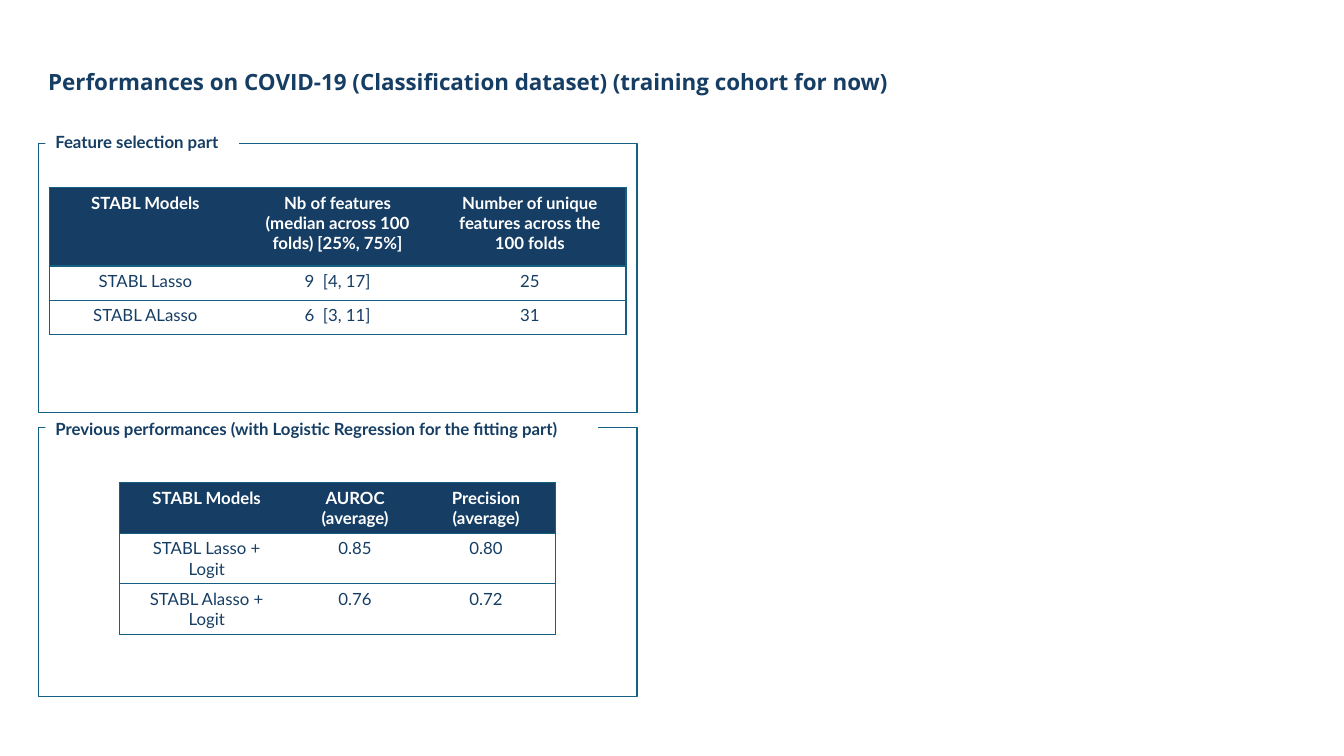
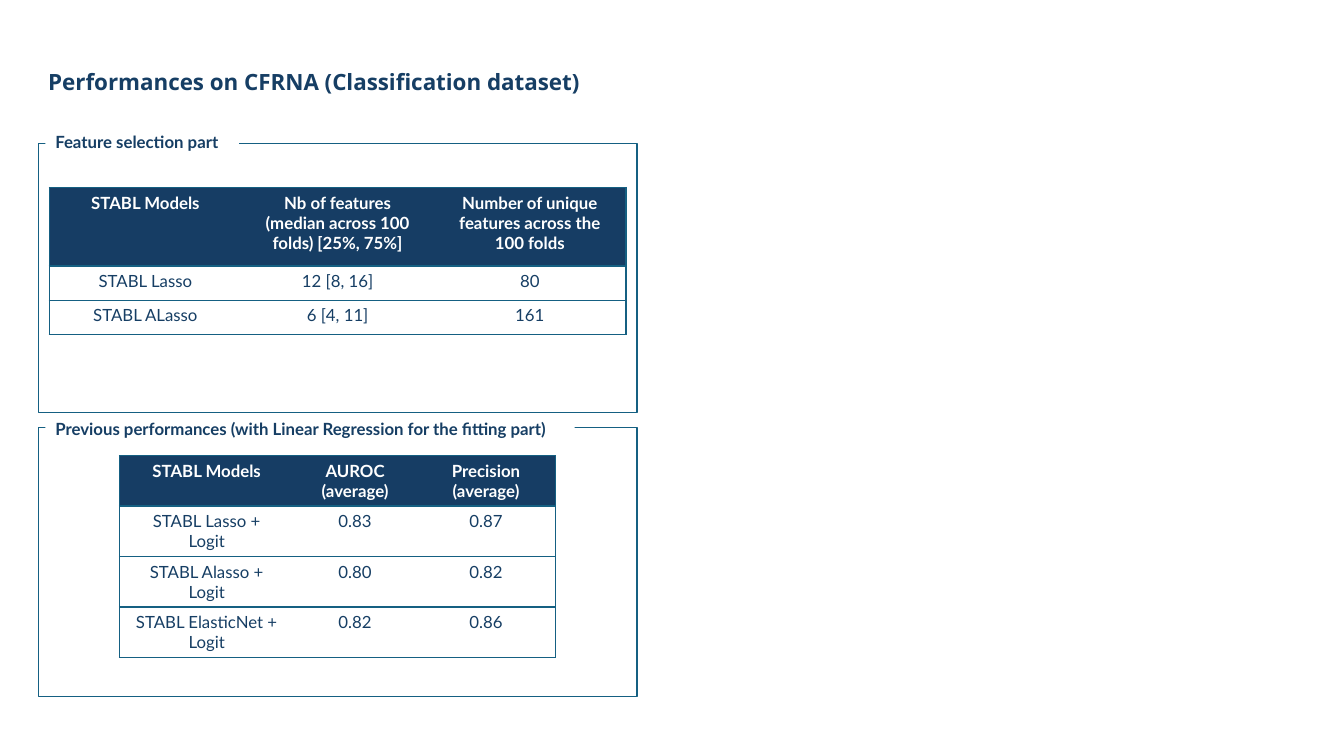
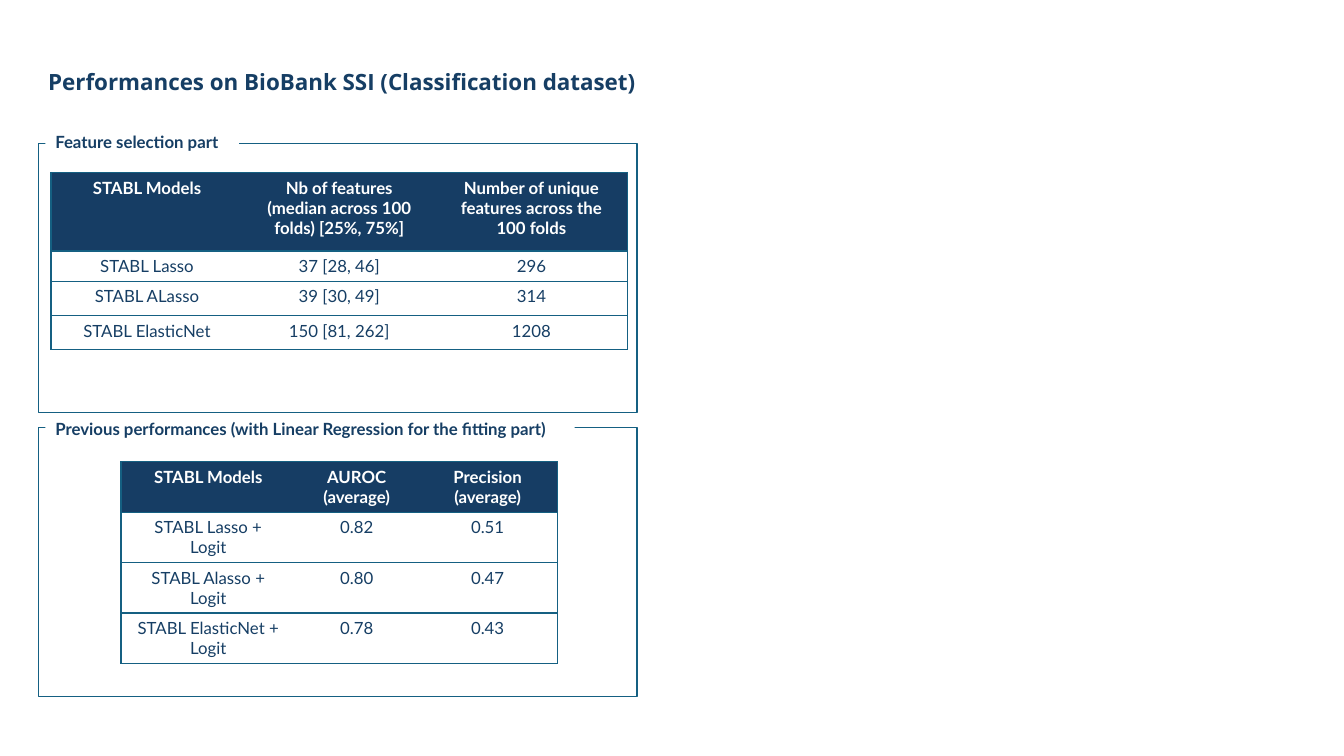
from lxml import etree
from pptx import Presentation
from pptx.dml.color import RGBColor
from pptx.enum import shapes, text
from pptx.oxml import ns
from pptx.util import Emu, Inches, Pt

# Shared look
INK, HEADER, BORDER, WHITE = "163E64", "163D64", "156082", "FFFFFF"
TITLE_FONT, BODY_FONT = "Open Sans", "Lato"
SLIDE_WIDTH, SLIDE_HEIGHT = Inches(13.33), Inches(7.5)

# Shared layout, in percent of the slide's width or height
PANEL_LEFT, PANEL_WIDTH, PANEL_HEIGHT = 2.85, 44.55, 35.65
CAPTION_LEFT, CAPTION_HEIGHT = 3.38, 4
FEATURE_PANEL = {"top": 18.93, "caption_top": 16.8}
SCORE_PANEL = {"top": 56.53, "caption_top": 54.8}
FEATURE_TABLE = {"width": 42.91, "shares": (1 / 3, 1 / 3, 1 / 3)}
SCORE_TABLE = {"width": 32.48, "shares": (0.4, 0.28, 0.32)}
HEADER_ROW, TWO_LINE_ROW, ONE_LINE_ROW, TIGHT_ROW = 10.4, 6.67, 4.53, 4

# Wording shared by the slides
FEATURE_CAPTION = "Feature selection part"
SCORE_CAPTION = "Previous performances (with {} Regression for the fitting part)"
FEATURE_HEADER = ("STABL Models",
                  "Nb of features\n(median across 100 folds) [25%, 75%]",
                  "Number of unique features across the 100 folds")
SCORE_HEADER = ("STABL Models", "AUROC\n(average)", "Precision\n(average)")
FEATURE_MODELS = ("STABL Lasso", "STABL ALasso", "STABL ElasticNet")
SCORE_MODELS = ("STABL Lasso +\nLogit", "STABL Alasso +\nLogit",
                "STABL ElasticNet + Logit")

# What differs from slide to slide
DATASETS = [
    {"title": "Performances on COVID-19 (Classification dataset) "
              "(training cohort for now)",
     "features": [("9  [4, 17]", "25"), ("6  [3, 11]", "31")],
     "feature_rows": (ONE_LINE_ROW, ONE_LINE_ROW), "feature_top": 24.8,
     "regression": "Logistic", "caption_width": 41.11,
     "scores": [("0.85", "0.80"), ("0.76", "0.72")],
     "score_top": 63.87, "nudge": 0},
    {"title": "Performances on CFRNA (Classification dataset)",
     "features": [("12 [8, 16]", "80"), ("6 [4, 11]", "161")],
     "feature_rows": (ONE_LINE_ROW, ONE_LINE_ROW), "feature_top": 24.8,
     "regression": "Linear", "caption_width": 39.38,
     "scores": [("0.83", "0.87"), ("0.80", "0.82"), ("0.82", "0.86")],
     "score_top": 60.27, "nudge": 0},
    {"title": "Performances on BioBank SSI (Classification dataset)",
     "features": [("37 [28, 46]", "296"), ("39 [30, 49]", "314"),
                  ("150 [81, 262]", "1208")],
     "feature_rows": (TIGHT_ROW, ONE_LINE_ROW, ONE_LINE_ROW),
     "feature_top": 22.8,
     "regression": "Linear", "caption_width": 39.38,
     "scores": [("0.82", "0.51"), ("0.80", "0.47"), ("0.78", "0.43")],
     "score_top": 61.07, "nudge": 0.12},
]


def across(percent):
    return Emu(round(SLIDE_WIDTH * percent / 100))


def down(percent):
    return Emu(round(SLIDE_HEIGHT * percent / 100))


def box(left, top, width, height):
    return across(left), down(top), across(width), down(height)


def color(value):
    return RGBColor.from_string(value)


def write(frame, content, font, size, ink, bold, align=text.PP_ALIGN.LEFT):
    """Fill a text frame, one paragraph per line of content."""
    frame.word_wrap = True
    for index, line in enumerate(content.split("\n")):
        paragraph = frame.add_paragraph() if index else frame.paragraphs[0]
        paragraph.alignment = align
        run = paragraph.add_run()
        run.text = line
        run.font.name, run.font.size, run.font.bold = font, Pt(size), bold
        run.font.color.rgb = color(ink)


def add_title(slide, content):
    frame = slide.shapes.add_textbox(*box(2.85, 7.73, 86.27, 6.53)).text_frame
    write(frame, content, TITLE_FONT, 16, INK, True)
    frame.vertical_anchor = text.MSO_ANCHOR.MIDDLE
    frame.paragraphs[0].line_spacing = 0.9


def add_rectangle(slide, *place):
    shape = slide.shapes.add_shape(shapes.MSO_SHAPE.RECTANGLE, *box(*place))
    shape.shadow.inherit = False
    return shape


def add_panel(slide, top, caption_top, caption, caption_width):
    """Outlined frame whose caption interrupts the top edge."""
    outline = add_rectangle(slide, PANEL_LEFT, top, PANEL_WIDTH, PANEL_HEIGHT)
    outline.fill.background()
    outline.line.color.rgb = color(BORDER)
    outline.line.width = Pt(0.75)

    label = add_rectangle(slide, CAPTION_LEFT, caption_top, caption_width,
                          CAPTION_HEIGHT)
    label.fill.solid()
    label.fill.fore_color.rgb = color(WHITE)
    label.line.fill.background()
    write(label.text_frame, caption, BODY_FONT, 12, INK, True)
    label.text_frame.vertical_anchor = text.MSO_ANCHOR.TOP
    label.text_frame.auto_size = text.MSO_AUTO_SIZE.SHAPE_TO_FIT_TEXT


def set_borders(cell, first, last):
    """Rule above and below; side rules only at the table's outer edges."""
    properties = cell._tc.get_or_add_tcPr()
    for side, drawn in (("L", first), ("R", last), ("T", True), ("B", True)):
        line = etree.SubElement(properties, ns.qn(f"a:ln{side}"),
                                w=str(Pt(1)))
        if drawn:
            fill = etree.SubElement(line, ns.qn("a:solidFill"))
            etree.SubElement(fill, ns.qn("a:srgbClr"), val=BORDER)
        else:
            etree.SubElement(line, ns.qn("a:noFill"))


def add_grid(slide, top, nudge, rows, heights, width, shares):
    """Table centred in its panel, with a dark header row."""
    left = PANEL_LEFT + (PANEL_WIDTH - width) / 2 + nudge
    table = slide.shapes.add_table(
        len(rows), len(shares), *box(left, top, width, sum(heights))).table
    table.horz_banding = False
    for column, share in zip(table.columns, shares):
        column.width = across(width * share)
    for row_index, (values, height) in enumerate(zip(rows, heights)):
        table.rows[row_index].height = down(height)
        is_header = row_index == 0
        for column_index, value in enumerate(values):
            cell = table.cell(row_index, column_index)
            set_borders(cell, column_index == 0,
                        column_index == len(shares) - 1)
            if is_header:
                cell.fill.solid()
                cell.fill.fore_color.rgb = color(HEADER)
            else:
                cell.fill.background()
            write(cell.text_frame, value, BODY_FONT, 12,
                  WHITE if is_header else INK, is_header,
                  text.PP_ALIGN.CENTER)


def with_models(header, models, values):
    return [header] + [(model, *row) for model, row in zip(models, values)]


def add_dataset_slide(presentation, data):
    slide = presentation.slides.add_slide(presentation.slide_layouts[6])
    add_title(slide, data["title"])

    # Feature selection
    add_panel(slide, **FEATURE_PANEL, caption=FEATURE_CAPTION,
              caption_width=14.4)
    add_grid(slide, data["feature_top"], data["nudge"],
             with_models(FEATURE_HEADER, FEATURE_MODELS, data["features"]),
             (HEADER_ROW, *data["feature_rows"]), **FEATURE_TABLE)

    # Previous performances
    add_panel(slide, **SCORE_PANEL,
              caption=SCORE_CAPTION.format(data["regression"]),
              caption_width=data["caption_width"])
    score_rows = with_models(SCORE_HEADER, SCORE_MODELS, data["scores"])
    add_grid(slide, data["score_top"], data["nudge"], score_rows,
             [TWO_LINE_ROW] * len(score_rows), **SCORE_TABLE)


def main():
    presentation = Presentation()
    presentation.slide_width = SLIDE_WIDTH
    presentation.slide_height = SLIDE_HEIGHT
    for data in DATASETS:
        add_dataset_slide(presentation, data)
    presentation.save("out.pptx")


if __name__ == "__main__":
    main()
